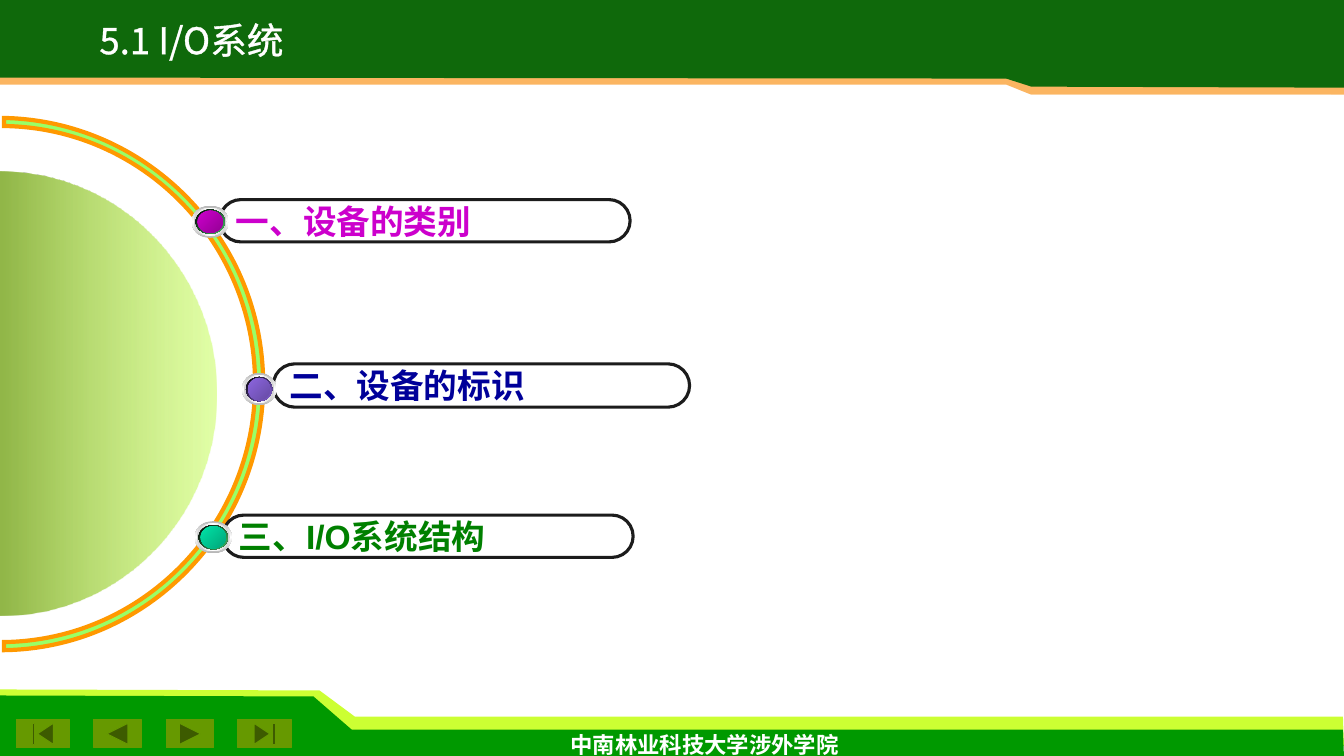
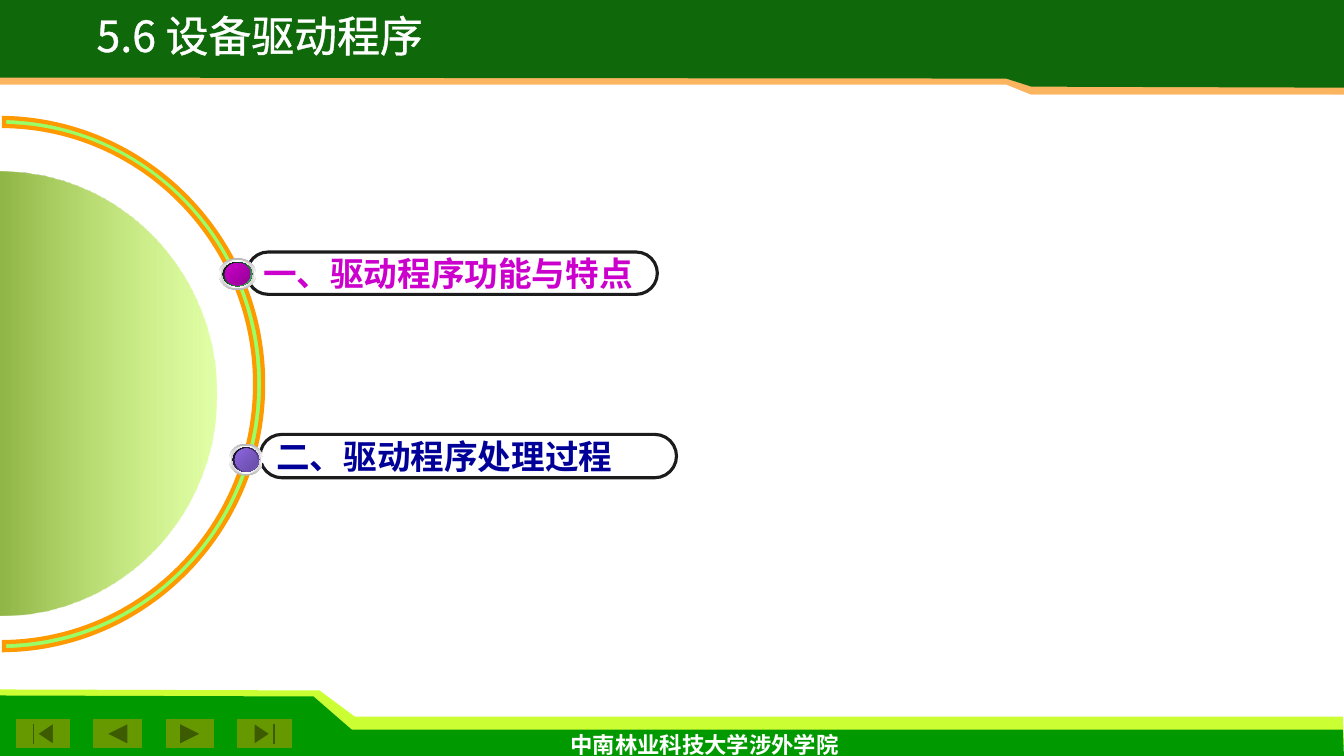
from lxml import etree
from pptx import Presentation
from pptx.dml.color import RGBColor
from pptx.enum.shapes import MSO_SHAPE
from pptx.enum.text import MSO_ANCHOR, PP_ALIGN
from pptx.oxml.ns import qn
from pptx.util import Inches, Pt

ELLIPSE = MSO_SHAPE.OVAL
PILL = MSO_SHAPE.ROUNDED_RECTANGLE
MIDDLE = MSO_ANCHOR.MIDDLE
LEFT, CENTER = PP_ALIGN.LEFT, PP_ALIGN.CENTER

COLORS = {
    "white": "FFFFFF", "ink": "1C1C1C", "black": "000000",
    "header": "0F690B", "header edge": "FBB561",
    "footer": "009900", "footer edge": "CCFF33", "button": "669900",
    "ring": "99FF66", "ring edge": "FF9900", "dome": "CCFF66",
    "magenta": "CC00CC", "violet": "8D67E1", "mint": "00E4A8", "leaf": "48BE67",
    "magenta text": "CC00CC", "blue text": "000099", "green text": "008000",
}
EAST_ASIAN_FONT = "Noto Sans CJK SC"

# Gradient stops: a colour name, or a name with a modifier and its percentage
RIM = [("white", "shade", 46.28), "white", ("white", "shade", 46.28)]
BEVEL = [("white", "shade", 63.53), "white", ("white", "shade", 63.53)]
DOME = [("dome", "alpha", 56), ("dome", "shade", 46.28), ("dome", "alpha", 56)]

# Bands from back to front: colour, opacity in percent, corner points
BANDS = [
    ("footer edge", 100, [(0.01, 7.4), (13.33, 7.4), (13.32, 7.11), (3.52, 7.11),
                          (3.17, 6.85), (0, 6.84)]),
    ("footer", 100, [(0, 7.53), (13.33, 7.51), (13.32, 7.24), (3.49, 7.24),
                     (3.11, 6.91), (0, 6.9)]),
    ("header edge", 100, [(13.33, 0), (0, 0), (0, 0.84), (9.98, 0.84),
                          (10.23, 0.94), (13.33, 0.94)]),
    ("header", 100, [(13.33, 0), (0, 0), (0, 0.77), (9.98, 0.78),
                     (10.23, 0.86), (13.33, 0.87)]),
    ("white", 30, [(10.06, 0.94), (13.2, 0.94), (13.19, 0.99), (10.19, 1)]),
]
# Navigation buttons: preset, left, width
BUTTONS = [
    (MSO_SHAPE.ACTION_BUTTON_BACK_OR_PREVIOUS, 0.93, 0.47),
    (MSO_SHAPE.ACTION_BUTTON_FORWARD_OR_NEXT, 1.65, 0.47),
    (MSO_SHAPE.ACTION_BUTTON_BEGINNING, 0.16, 0.53),
    (MSO_SHAPE.ACTION_BUTTON_END, 2.36, 0.53),
]
# Curved outlines: box before its quarter turn, then steps in slide coordinates
RING_BOX = (-2.64, 1.2, 5.28, 5.22)
RING_STEPS = [
    ("moveTo", [(0.04, 1.25)]),
    ("cubicBezTo", [(1.42, 1.27), (2.53, 2.41), (2.53, 3.81)]),
    ("cubicBezTo", [(2.53, 5.21), (1.42, 6.35), (0.04, 6.37)]),
    ("lnTo", [(0.04, 6.45)]),
    ("cubicBezTo", [(1.46, 6.43), (2.61, 5.25), (2.61, 3.81)]),
    ("cubicBezTo", [(2.61, 2.37), (1.46, 1.2), (0.04, 1.17)]),
]
DOME_BOX = (-2.2, 1.76, 4.41, 4.3)
DOME_STEPS = [
    ("moveTo", [(0, 1.7)]),
    ("cubicBezTo", [(1.19, 1.7), (2.15, 2.69), (2.15, 3.91)]),
    ("cubicBezTo", [(2.15, 5.13), (1.19, 6.11), (0, 6.11)]),
    ("cubicBezTo", [(-1.19, 6.11), (-2.15, 5.13), (-2.15, 3.91)]),
    ("cubicBezTo", [(-2.15, 2.69), (-1.19, 1.7), (0, 1.7)]),
]
# Knob and pill sizes; the shift leads from the pill corner to the knob corner
WIDE_KNOB = {"pill": (4.07, 0.42), "shift": (-0.28, 0.06), "knob": (0.37, 0.32)}
SLIM_KNOB = {"pill": (4.13, 0.43), "shift": (-0.31, 0.09), "knob": (0.34, 0.32)}
MAGENTA = {"text": "magenta text", "gem": "magenta", "socket": "leaf", **WIDE_KNOB}
BLUE = {"text": "blue text", "gem": "violet", "socket": "violet", **SLIM_KNOB}
GREEN = {"text": "green text", "gem": "mint", "socket": "leaf", **WIDE_KNOB}

SLIDES = [
    {"title": "5.1 I/O系统", "box": (0.6, 0.21, 2.6, 0.46), "size": 26.1,
     "items": [("一、设备的类别", 2.18, 1.98, MAGENTA),
               ("二、设备的标识", 2.71, 3.61, BLUE),
               ("三、I/O系统结构", 2.21, 5.11, GREEN)]},
    {"title": "5.6 设备驱动程序", "box": (0.45, 0.14, 4.25, 0.55), "size": 30.6,
     "items": [("一、驱动程序功能与特点", 2.45, 2.5, MAGENTA),
               ("二、驱动程序处理过程", 2.58, 4.31, BLUE)]},
]


def rgb(color):
    return RGBColor.from_string(COLORS[color])


def add_modifier(color_element, name, percent):
    etree.SubElement(color_element, qn("a:" + name), val=str(round(percent * 1000)))


def paint(shape, fill=None, line=None, width=0.75):
    shape.shadow.inherit = False
    if fill:
        shape.fill.solid()
        shape.fill.fore_color.rgb = rgb(fill)
    else:
        shape.fill.background()
    if line:
        shape.line.color.rgb = rgb(line)
        shape.line.width = Pt(width)
    else:
        shape.line.fill.background()


def paint_gradient(shape, colors, angle):
    """Spread the colours evenly, at an angle measured clockwise."""
    paint(shape)
    shape.fill.gradient()
    shape.fill.gradient_angle = -angle % 360
    stops = shape.element.spPr.find(".//" + qn("a:gsLst"))
    for stop in list(stops):
        stops.remove(stop)
    for index, color in enumerate(colors):
        name, *modifier = [color] if isinstance(color, str) else color
        position = 100000 * index // (len(colors) - 1)
        stop = etree.SubElement(stops, qn("a:gs"), pos=str(position))
        color_element = etree.SubElement(stop, qn("a:srgbClr"), val=COLORS[name])
        if modifier:
            add_modifier(color_element, *modifier)


def add_preset(shapes, preset, left, top, width, height):
    return shapes.add_shape(preset, Inches(left), Inches(top),
                            Inches(width), Inches(height))


def add_outline(shapes, points):
    corners = [(Inches(x), Inches(y)) for x, y in points]
    builder = shapes.build_freeform(*corners[0], scale=1.0)
    builder.add_line_segments(corners[1:], close=True)
    return builder.convert_to_shape()


def add_turned_curve(shapes, box, steps):
    """Closed curve whose box is turned a quarter clockwise about its centre."""
    left, top, width, height = box
    center_x, center_y = left + width / 2, top + height / 2
    shape = add_outline(shapes, [(left, top), (left + width, top),
                                 (left + width, top + height)])
    shape.rotation = 90
    outline = shape.element.spPr.find(".//" + qn("a:path"))
    for step in list(outline):
        outline.remove(step)
    outline.set("w", str(Inches(width)))
    outline.set("h", str(Inches(height)))
    for kind, points in steps:
        step = etree.SubElement(outline, qn("a:" + kind))
        for x, y in points:
            etree.SubElement(step, qn("a:pt"),
                             x=str(Inches(width / 2 + y - center_y)),
                             y=str(Inches(height / 2 + center_x - x)))
    etree.SubElement(outline, qn("a:close"))
    return shape


def write(shape, text, size, color, font, bold=False, align=LEFT):
    para = shape.text_frame.paragraphs[0]
    para.text = text
    para.alignment = align
    para.font.size = Pt(size)
    para.font.bold = bold
    para.font.color.rgb = rgb(color)
    para.font.name = font
    style = shape.element.find(".//" + qn("a:defRPr"))
    etree.SubElement(style, qn("a:ea"), typeface=EAST_ASIAN_FONT)
    return para


def add_label(shapes, box, *args, **kwargs):
    label = shapes.add_textbox(*(Inches(value) for value in box))
    label.text_frame.word_wrap = False
    return label, write(label, *args, **kwargs)


def draw_frame(shapes):
    for color, opacity, points in BANDS:
        band = add_outline(shapes, points)
        paint(band, color)
        if opacity < 100:
            fill = band.element.spPr.find(qn("a:solidFill"))
            add_modifier(fill[0], "alpha", opacity)
    for preset, left, width in BUTTONS:
        paint(add_preset(shapes, preset, left, 7.14, width, 0.28), "button", "button")
    add_label(shapes, (5.56, 7.2, 2.92, 0.37), "中南林业科技大学涉外学院",
              16, "white", "Karla", bold=True)


def draw_title(shapes, box, text, size):
    label, para = add_label(shapes, box, text, size, "white", EAST_ASIAN_FONT, align=CENTER)
    para.line_spacing = 0.8
    # White outline around the letters
    style = label.element.find(".//" + qn("a:defRPr"))
    line = etree.Element(qn("a:ln"), w=str(Pt(1.5)))
    fill = etree.SubElement(line, qn("a:solidFill"))
    etree.SubElement(fill, qn("a:srgbClr"), val=COLORS["white"])
    style.insert(0, line)


def draw_dial(shapes):
    ring = add_turned_curve(shapes, RING_BOX, RING_STEPS)
    paint(ring, "ring", "ring edge", 3)
    etree.SubElement(ring.element.spPr.find(qn("a:ln")), qn("a:miter"), lim="800000")
    paint_gradient(add_turned_curve(shapes, DOME_BOX, DOME_STEPS), DOME, 90)


def draw_item(shapes, text, left, top, look):
    group = shapes.add_group_shape().shapes
    # Pill with its text
    pill = add_preset(group, PILL, left, top, *look["pill"])
    pill.adjustments[0] = 0.5
    paint(pill, line="ink", width=2.25)
    pill.text_frame.word_wrap = True
    pill.text_frame.vertical_anchor = MIDDLE
    write(pill, text, 24, look["text"], "Arial", bold=True)
    # Knob: nested ellipses with insets, colours and gradient angle
    layers = [
        (0, 0, RIM, 90),
        (0.02, 0.02, BEVEL, 0),
        (0.04, 0.04, ["black", look["socket"]], 45),
        (0.06, 0.05, [look["gem"], (look["gem"], "shade", 48.63)], 45),
    ]
    (shift_x, shift_y), (width, height) = look["shift"], look["knob"]
    for inset_x, inset_y, colors, angle in layers:
        layer = add_preset(group, ELLIPSE, left + shift_x + inset_x, top + shift_y + inset_y,
                           width - 2 * inset_x, height - 2 * inset_y)
        paint_gradient(layer, colors, angle)


def main():
    deck = Presentation()
    deck.slide_width, deck.slide_height = Inches(13.33), Inches(7.5)
    for content in SLIDES:
        page = deck.slides.add_slide(deck.slide_layouts[6])
        draw_frame(page.shapes)
        draw_dial(page.shapes)
        for item in content["items"]:
            draw_item(page.shapes, *item)
        draw_title(page.shapes, content["box"], content["title"], content["size"])
    deck.save("out.pptx")


if __name__ == "__main__":
    main()
